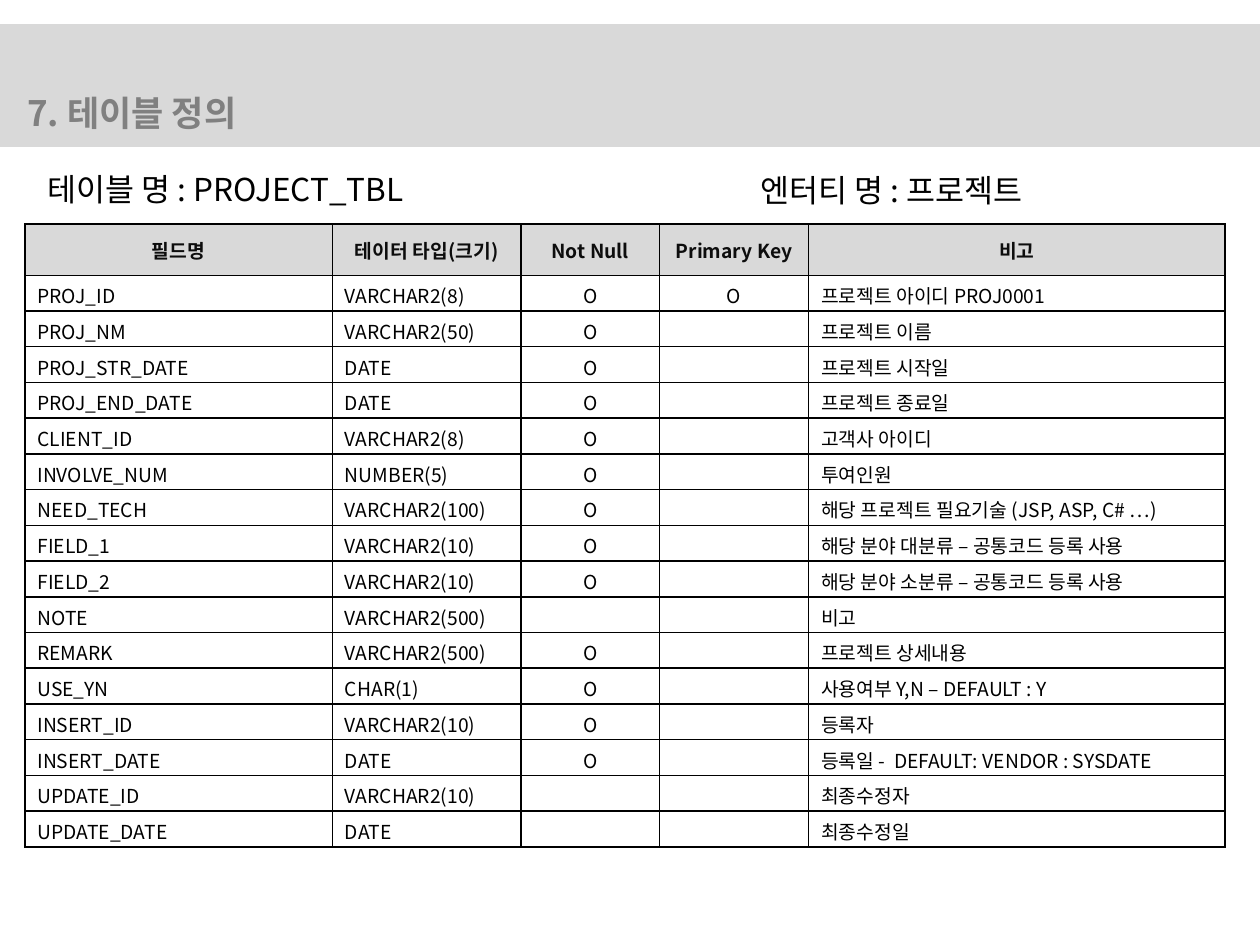
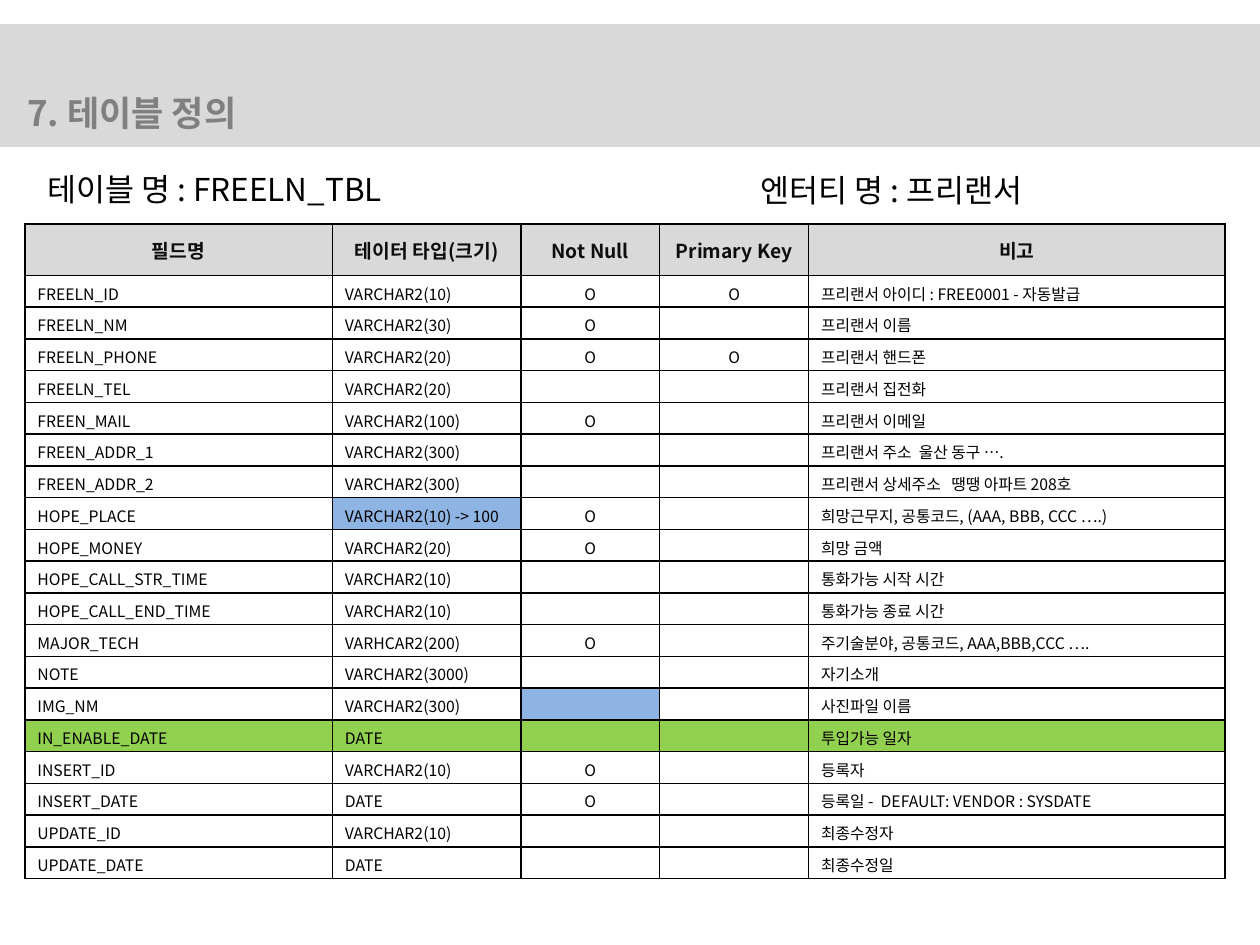
from lxml import etree
from pptx import Presentation
from pptx.dml.color import RGBColor
from pptx.enum import shapes, text
from pptx.oxml import ns
from pptx.util import Cm, Pt

FONT = "Noto Sans CJK KR"
HUES = {"band": "D9D9D9", "title": "808080", "head": "0D0D0D", "ink": "000000",
        "paper": "FFFFFF", "blue": "8EB4E3", "green": "92D050"}

TITLE = "7. 테이블 정의"
HEADS = ("필드명", "테이터 타입(크기)", "Not Null", "Primary Key", "비고")
WIDTHS = (6.2, 3.8, 2.8, 3.0, 8.4)
MIDDLE = (2, 3)  # centred columns: Not Null and Primary Key

# field, type, marks for Not Null and Primary Key, note
AUDIT = [
    ("INSERT_ID", "VARCHAR2(10)", "O", "등록자"),
    ("INSERT_DATE", "DATE", "O", "등록일 -  DEFAULT: VENDOR : SYSDATE"),
    ("UPDATE_ID", "VARCHAR2(10)", "", "최종수정자"),
    ("UPDATE_DATE", "DATE", "", "최종수정일"),
]
PROJECT = [
    ("PROJ_ID", "VARCHAR2(8)", "OO", "프로젝트 아이디 PROJ0001"),
    ("PROJ_NM", "VARCHAR2(50)", "O", "프로젝트 이름"),
    ("PROJ_STR_DATE", "DATE", "O", "프로젝트 시작일"),
    ("PROJ_END_DATE", "DATE", "O", "프로젝트 종료일"),
    ("CLIENT_ID", "VARCHAR2(8)", "O", "고객사 아이디"),
    ("INVOLVE_NUM", "NUMBER(5)", "O", "투여인원"),
    ("NEED_TECH", "VARCHAR2(100)", "O", "해당 프로젝트 필요기술 (JSP, ASP, C# …)"),
    ("FIELD_1", "VARCHAR2(10)", "O", "해당 분야 대분류 – 공통코드 등록 사용"),
    ("FIELD_2", "VARCHAR2(10)", "O", "해당 분야 소분류 – 공통코드 등록 사용"),
    ("NOTE", "VARCHAR2(500)", "", "비고"),
    ("REMARK", "VARCHAR2(500)", "O", "프로젝트 상세내용"),
    ("USE_YN", "CHAR(1)", "O", "사용여부 Y,N – DEFAULT : Y"),
]
FREELANCER = [
    ("FREELN_ID", "VARCHAR2(10)", "OO", "프리랜서 아이디 : FREE0001 - 자동발급"),
    ("FREELN_NM", "VARCHAR2(30)", "O", "프리랜서 이름"),
    ("FREELN_PHONE", "VARCHAR2(20)", "OO", "프리랜서 핸드폰"),
    ("FREELN_TEL", "VARCHAR2(20)", "", "프리랜서 집전화"),
    ("FREEN_MAIL", "VARCHAR2(100)", "O", "프리랜서 이메일"),
    ("FREEN_ADDR_1", "VARCHAR2(300)", "", "프리랜서 주소  울산 동구 …."),
    ("FREEN_ADDR_2", "VARCHAR2(300)", "", "프리랜서 상세주소   땡땡 아파트 208호"),
    ("HOPE_PLACE", "VARCHAR2(10) -> 100", "O",
     "희망근무지, 공통코드, (AAA, BBB, CCC ….)"),
    ("HOPE_MONEY", "VARCHAR2(20)", "O", "희망 금액"),
    ("HOPE_CALL_STR_TIME", "VARCHAR2(10)", "", "통화가능 시작 시간"),
    ("HOPE_CALL_END_TIME", "VARCHAR2(10)", "", "통화가능 종료 시간"),
    ("MAJOR_TECH", "VARHCAR2(200)", "O", "주기술분야, 공통코드, AAA,BBB,CCC …."),
    ("NOTE", "VARCHAR2(3000)", "", "자기소개"),
    ("IMG_NM", "VARCHAR2(300)", "", "사진파일 이름"),
    ("IN_ENABLE_DATE", "DATE", "", "투입가능 일자"),
]
# tints: (field, column) -> hue
PAGES = [
    {"table": "PROJECT_TBL", "entity": "프로젝트", "rows": PROJECT + AUDIT,
     "size": 11, "high": 0.72, "tints": {}},
    {"table": "FREELN_TBL", "entity": "프리랜서", "rows": FREELANCER + AUDIT,
     "size": 9, "high": 0.64,
     "tints": {("HOPE_PLACE", 1): "blue", ("IMG_NM", 2): "blue",
               **{("IN_ENABLE_DATE", col): "green" for col in range(5)}}},
]


def rgb(hue):
    return RGBColor.from_string(HUES[hue])


def paint(fill, hue):
    fill.solid()
    fill.fore_color.rgb = rgb(hue)


def write(para, words, size, hue, bold=False):
    """Put one styled run in a paragraph, or only a line size if it is empty."""
    if not words:
        etree.SubElement(para._p, ns.qn("a:endParaRPr"), sz=str(size * 100))
        return
    run = para.add_run()
    run.text = words
    for key, value in {"size": Pt(size), "bold": bold, "name": FONT}.items():
        setattr(run.font, key, value)
    run.font.color.rgb = rgb(hue)
    etree.SubElement(run.font._element, ns.qn("a:ea"), typeface=FONT)


def label(slide, left, top, high, words, size, hue, bold=False):
    box = slide.shapes.add_textbox(Cm(left), Cm(top), Cm(9.6), Cm(high))
    frame = box.text_frame
    frame.word_wrap = True
    frame.auto_size = text.MSO_AUTO_SIZE.SHAPE_TO_FIT_TEXT
    write(frame.paragraphs[0], words, size, hue, bold)


def edge(cell):
    """Draw thin black lines on all four sides of a cell."""
    props = cell._tc.get_or_add_tcPr()
    for spot, side in enumerate("LRTB"):
        line = etree.Element(ns.qn("a:ln" + side), w=str(Pt(1)))
        fill = etree.SubElement(line, ns.qn("a:solidFill"))
        etree.SubElement(fill, ns.qn("a:srgbClr"), val=HUES["ink"])
        props.insert(spot, line)


def fill_cell(cell, words, hue, mid, style, pads):
    paint(cell.fill, hue)
    edge(cell)
    cell.vertical_anchor = text.MSO_ANCHOR.MIDDLE
    cell.margin_top, cell.margin_bottom = map(Cm, pads)
    para = cell.text_frame.paragraphs[0]
    if mid:
        para.alignment = text.PP_ALIGN.CENTER
    write(para, words, *style)


def add_fields(slide, page):
    rows, high = page["rows"], page["high"]
    frame = slide.shapes.add_table(
        len(rows) + 1, len(HEADS), Cm(0.5), Cm(4.52),
        Cm(sum(WIDTHS)), Cm(1.03 + high * len(rows)))
    grid = frame.table
    grid.first_row = grid.horz_banding = False
    for col, wide in zip(grid.columns, WIDTHS):
        col.width = Cm(wide)
    for num, row in enumerate(grid.rows):
        row.height = Cm(high if num else 1.03)
    for col, head in enumerate(HEADS):
        fill_cell(grid.cell(0, col), head, "band", True,
                  (11, "head", True), (0.1, 0.1))
    for num, (field, kind, marks, note) in enumerate(rows, 1):
        for col, words in enumerate((field, kind, marks[:1], marks[1:], note)):
            hue = page["tints"].get((field, col), "paper")
            fill_cell(grid.cell(num, col), words, hue, col in MIDDLE,
                      (page["size"], "ink"), (0.11, 0.03))


def add_band(slide, wide):
    band = slide.shapes.add_shape(
        shapes.MSO_SHAPE.RECTANGLE, 0, Cm(0.53), wide, Cm(2.39))
    band.shadow.inherit = False
    paint(band.fill, "band")
    paint(band.line.fill, "band")
    band.line.width = Pt(2)


def main():
    deck = Presentation()
    deck.slide_width, deck.slide_height = Cm(25.4), Cm(19.05)
    for page in PAGES:
        slide = deck.slides.add_slide(deck.slide_layouts[6])
        add_band(slide, deck.slide_width)
        label(slide, 0.3, 1.73, 1.11, TITLE, 20, "title", True)
        add_fields(slide, page)
        label(slide, 0.71, 3.3, 1.03, "테이블 명 : " + page["table"], 18, "ink")
        label(slide, 15.09, 3.32, 1.03, "엔터티 명 : " + page["entity"], 18, "ink")
    deck.save("out.pptx")


if __name__ == "__main__":
    main()
